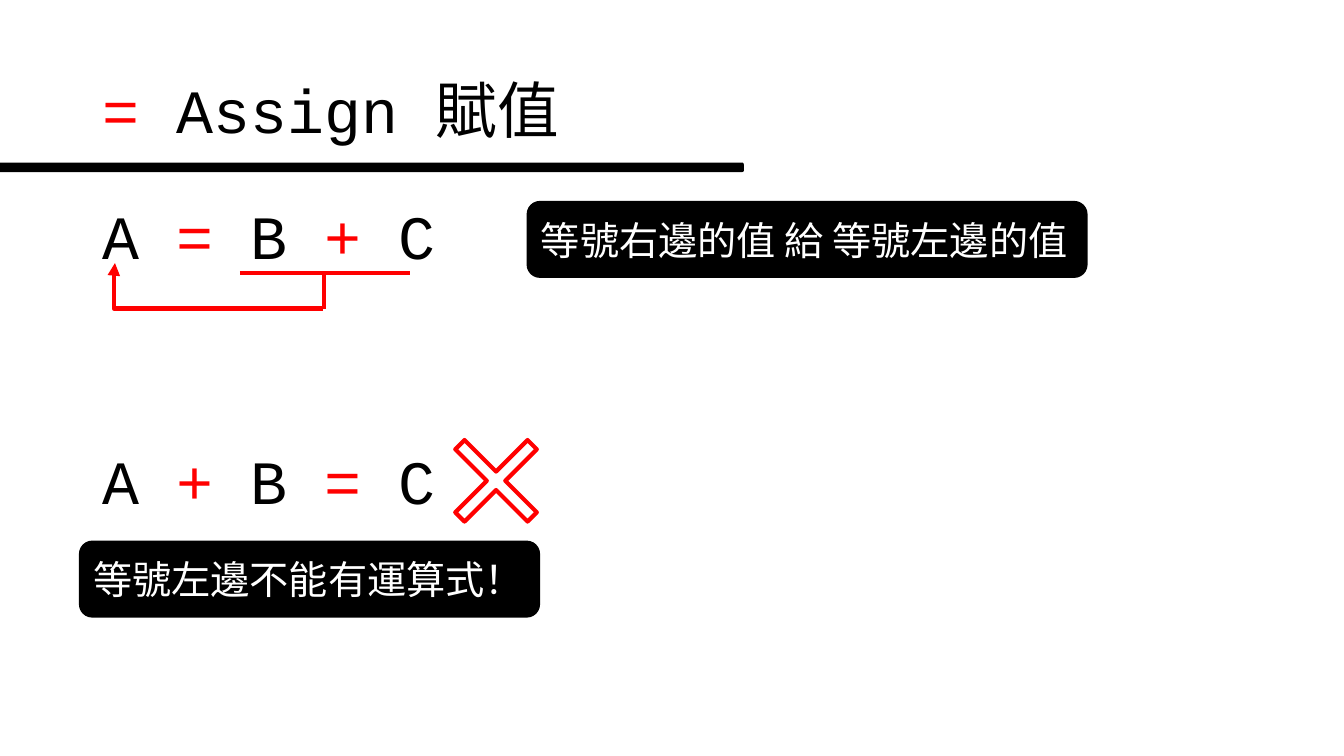
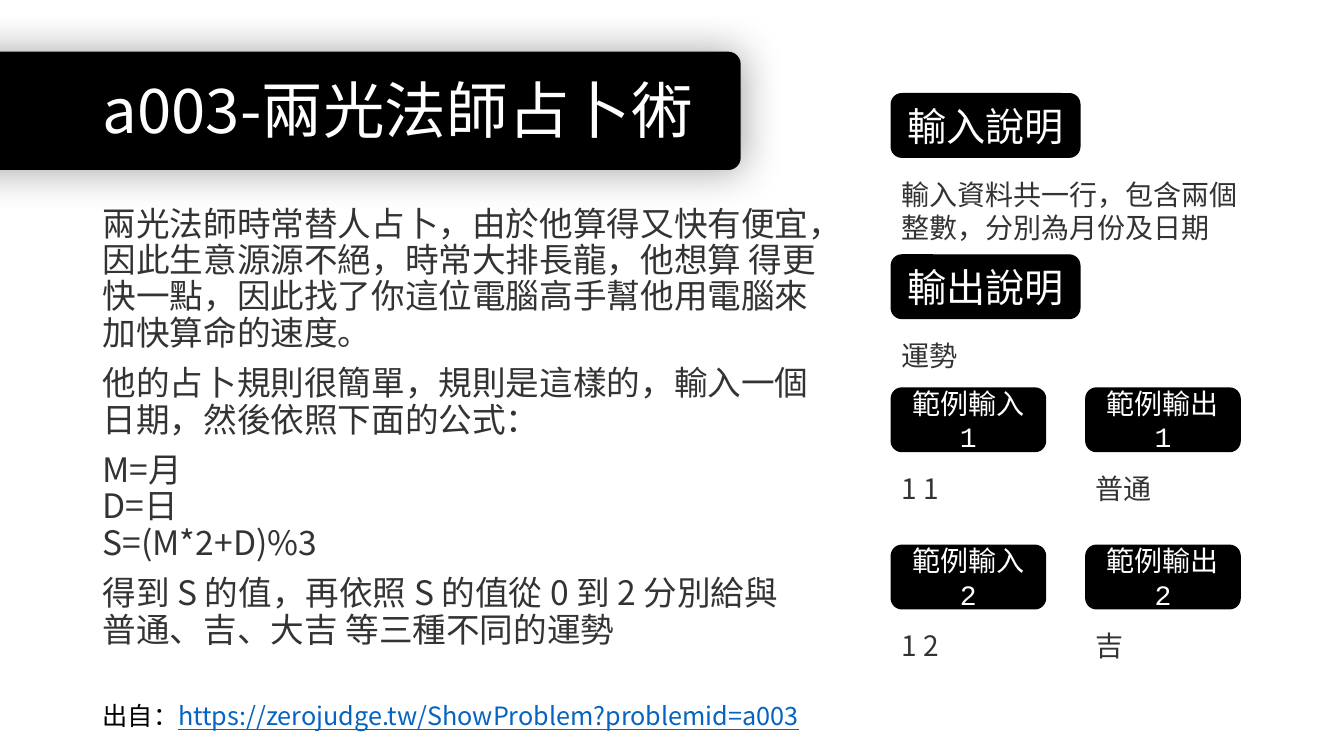
"""Build two lesson slides: the assignment operator and a fortune-telling exercise."""
import pptx
import pptx.util
import pptx.dml.color
import pptx.enum.shapes
import pptx.enum.text
import pptx.oxml
import pptx.oxml.ns

SHAPE = pptx.enum.shapes.MSO_SHAPE
LINK = pptx.enum.shapes.MSO_CONNECTOR
ALIGN = pptx.enum.text.PP_ALIGN
ANCHOR = pptx.enum.text.MSO_ANCHOR
Pt = pptx.util.Pt
PX = 9144
COLORS = {"black": "000000", "white": "FFFFFF", "red": "FF0000", "gray": "333333", "link": "0563C1"}
CODE, CJK = "Courier New", "Noto Sans CJK TC"

TITLE_BOX = (92, 40, 1150, 145)

ASSIGN_TITLE = [("= ", "red"), ("Assign 賦值", "black")]
ASSIGN_BAND = (-215, 162, 952, 8)
FORMULAS = [
    [("A ", "black"), ("=", "red"), (" B ", "black"), ("+", "red"), (" C", "black")],
    [("A ", "black"), ("+", "red"), (" B ", "black"), ("=", "red"), (" C", "black")],
]
RULES = [
    ("等號右邊的值 給 等號左邊的值", (523, 200, 555, 75)),
    ("等號左邊不能有運算式！", (79, 537, 456, 75)),
]
EXPRESSION_LINES = [(238, 271, 407, 271), (321, 307, 321, 271)]
ASSIGN_ARROW = (114, 261, 320, 306)
CROSS = (423, 408, 138, 138)

FORTUNE_TITLE = [("a003-兩光法師占卜術", "white")]
FORTUNE_BAND = (-212, 52, 946, 116)
STORY = [
    "兩光法師時常替人占卜，由於他算得又快有便宜，因此生意源源不絕，時常大排長龍，他想算 得更快一點，因此找了你這位電腦高手幫他用電腦來加快算命的速度。",
    "他的占卜規則很簡單，規則是這樣的，輸入一個日期，然後依照下面的公式：",
    "M=月\vD=日\vS=(M*2+D)%3",
    "得到 S 的值，再依照 S 的值從 0 到 2 分別給與 普通、吉、大吉 等三種不同的運勢",
]
SOURCE = [("出自：", "black"), ("https://zerojudge.tw/ShowProblem?problemid=a003", "link")]
SECTIONS = [
    ("輸入說明", "輸入資料共一行，包含兩個整數，分別為月份及日期", 93, 77),
    ("輸出說明", "運勢", 253, 44),
]
SAMPLES = [
    [("範例輸入1", "1 1"), ("範例輸出1", "普通")],
    [("範例輸入2", "1 2"), ("範例輸出2", "吉")],
]
SIDE_LEFT, SIDE_WIDTH, LABEL_HEIGHT, LABEL_TO_TEXT = 884, 374, 63, 78
SAMPLE_TOP, SAMPLE_WIDTH, SAMPLE_STEP_X, SAMPLE_STEP_Y = 385, 153, 193, 156


def emu(box):
    return [v * PX for v in box]


def rgb(name):
    return pptx.dml.color.RGBColor.from_string(COLORS[name])


def xml(text):
    return pptx.oxml.parse_xml(text.replace("/>", " " + pptx.oxml.ns.nsdecls("a") + "/>", 1)
                               if text.endswith("/>") and text.count("<") == 1
                               else text.replace(">", " " + pptx.oxml.ns.nsdecls("a") + ">", 1))


def style(p, size, font, color, leading=None, align=ALIGN.LEFT):
    p.alignment = align
    if leading:
        p.line_spacing = leading
    p.font.size, p.font.name = Pt(size), font
    p.font.color.rgb = rgb(color)
    latin = p._p.pPr.find(".//" + pptx.oxml.ns.qn("a:latin"))
    latin.addnext(xml(f'<a:ea typeface="{CJK}"/>'))


def add_runs(p, runs):
    for text, color in runs:
        r = p.add_run()
        r.text = text
        r.font.color.rgb = rgb(color)
        if color == "link":
            r.font.underline = True


def add_text(s, box):
    tf = s.shapes.add_textbox(*emu(box)).text_frame
    tf.word_wrap = True
    return tf


def add_pill(s, box):
    sp = s.shapes.add_shape(SHAPE.ROUNDED_RECTANGLE, *emu(box))
    sp.shadow.inherit = False
    sp.fill.solid()
    sp.fill.fore_color.rgb = sp.line.color.rgb = rgb("black")
    sp.line.width = Pt(1)
    return sp


def add_label(s, text, box, size, font, leading=None, align=ALIGN.CENTER):
    tf = add_pill(s, box).text_frame
    tf.word_wrap = True
    tf.vertical_anchor = ANCHOR.MIDDLE
    p = tf.paragraphs[0]
    p.text = text
    style(p, size, font, "white", leading, align)


def add_note(s, text, box):
    p = add_text(s, box).paragraphs[0]
    p.text = text
    style(p, 20, CJK, "gray", Pt(24))


def add_line(s, kind, ends):
    cn = s.shapes.add_connector(kind, *emu(ends))
    cn.line.color.rgb = rgb("red")
    cn.line.width = Pt(3)
    cn._element.spPr.append(xml("<a:effectLst/>"))
    return cn


def add_slide(prs, title, font, band_box):
    s = prs.slides.add_slide(prs.slide_layouts[5])
    band = add_pill(s, band_box)
    band.adjustments[0] = 0.1
    sp = s.shapes.title
    s.shapes._spTree.append(sp._element)
    sp.left, sp.top, sp.width, sp.height = emu(TITLE_BOX)
    sp.text_frame.vertical_anchor = ANCHOR.MIDDLE
    p = sp.text_frame.paragraphs[0]
    style(p, 44, font, title[-1][1], 0.9)
    add_runs(p, title)
    return s, band


def build_assign(prs):
    s, _ = add_slide(prs, ASSIGN_TITLE, CODE, ASSIGN_BAND)
    tf = add_text(s, (92, 200, 1150, 476))
    for i, formula in enumerate(FORMULAS):
        p = tf.add_paragraph() if i else tf.paragraphs[0]
        if i:
            p.space_before = Pt(127)
        style(p, 44, CODE, "black", 0.9)
        add_runs(p, formula)
    for ends in EXPRESSION_LINES:
        add_line(s, LINK.STRAIGHT, ends)
    arrow = add_line(s, LINK.ELBOW, ASSIGN_ARROW)
    spPr = arrow._element.spPr
    spPr.xfrm.set("rot", "10800000")
    guides = spPr.prstGeom.get_or_add_avLst()
    guides.append(xml('<a:gd name="adj1" fmla="val 100500"/>'))
    arrow.line._get_or_add_ln().append(xml('<a:tailEnd type="triangle"/>'))
    cross = s.shapes.add_shape(SHAPE.MATH_MULTIPLY, *emu(CROSS))
    cross.shadow.inherit = False
    cross.adjustments[0] = 0.094
    cross.fill.background()
    cross.line.color.rgb = rgb("red")
    cross.line.width = Pt(3)
    for text, box in RULES:
        add_label(s, text, box, 28, CJK, align=ALIGN.LEFT)


def build_fortune(prs):
    s, band = add_slide(prs, FORTUNE_TITLE, CJK, FORTUNE_BAND)
    effects = band._element.spPr.find(pptx.oxml.ns.qn("a:effectLst"))
    effects.append(xml(f'<a:outerShdw blurRad="{Pt(30)}" dist="0" dir="0" algn="ctr" rotWithShape="0">'
                       '<a:srgbClr val="000000"><a:alpha val="36000"/></a:srgbClr></a:outerShdw>'))
    tf = add_text(s, (92, 200, 730, 470))
    for i, text in enumerate(STORY):
        p = tf.add_paragraph() if i else tf.paragraphs[0]
        p.text = text
        if i:
            p.space_before = Pt(10)
        style(p, 24, CJK, "gray", Pt(26))
    for label, text, top, height in SECTIONS:
        add_label(s, label, (SIDE_LEFT, top, 187, LABEL_HEIGHT), 28, CODE)
        add_note(s, text, (SIDE_LEFT, top + LABEL_TO_TEXT, SIDE_WIDTH, height))
    for row, samples in enumerate(SAMPLES):
        top = SAMPLE_TOP + row * SAMPLE_STEP_Y
        for col, (label, text) in enumerate(samples):
            left = SIDE_LEFT + col * SAMPLE_STEP_X
            add_label(s, label, (left, top, SAMPLE_WIDTH, LABEL_HEIGHT), 20, CODE, Pt(24))
            add_note(s, text, (left, top + LABEL_TO_TEXT, SAMPLE_WIDTH, 44))
    p = add_text(s, (92, 690, 730, 40)).paragraphs[0]
    style(p, 18, CJK, "black", Pt(21.6))
    add_runs(p, SOURCE)


def main():
    prs = pptx.Presentation()
    prs.slide_width, prs.slide_height = emu((1333, 750))
    build_assign(prs)
    build_fortune(prs)
    prs.save("out.pptx")


if __name__ == "__main__":
    main()
